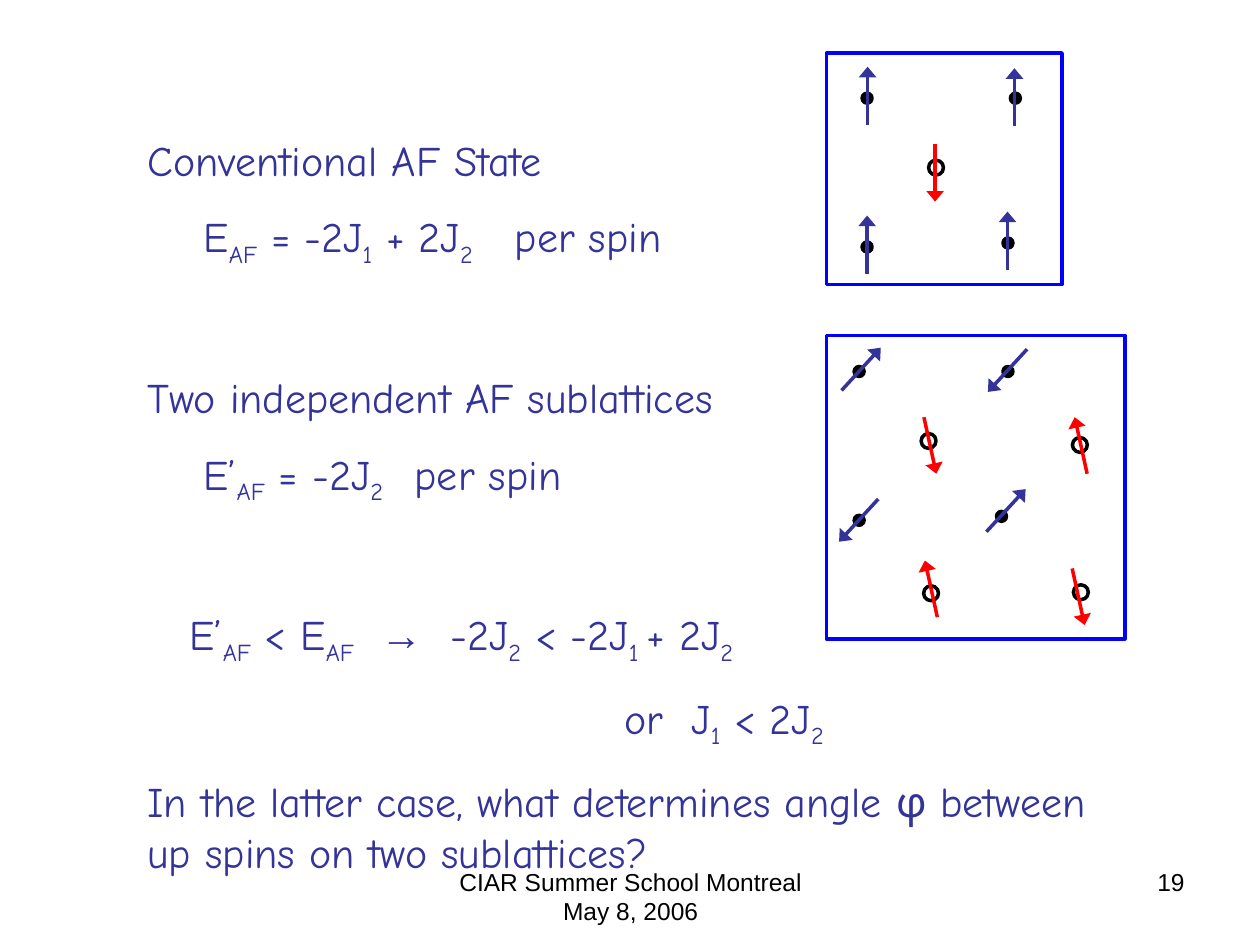
from lxml.etree import SubElement
from pptx import Presentation
from pptx.dml.color import RGBColor
from pptx.enum.shapes import MSO_CONNECTOR as Connector, MSO_SHAPE as Preset
from pptx.enum.text import MSO_ANCHOR as Anchor, MSO_AUTO_SIZE as AutoSize, PP_ALIGN as Align
from pptx.oxml.ns import qn
from pptx.util import Cm, Pt

INDIGO = RGBColor(0x33, 0x33, 0x99)
RED = RGBColor(0xFF, 0x00, 0x00)
BLUE = RGBColor(0x00, 0x00, 0xFF)
BLACK = RGBColor(0x00, 0x00, 0x00)

# Spin directions as (dx, dy) in cm
UP, DOWN = (0, -1.17), (0, 1.17)
NORTH_EAST, SOUTH_WEST = (0.79, -0.86), (-0.79, 0.86)
TILT_DOWN, TILT_UP = (0.25, 1.14), (-0.25, -1.14)

# Frame of each lattice: left, top, width, height
FRAMES = [(16.66, 1.07, 4.75, 4.67), (16.66, 6.76, 6.02, 6.12)]

# Site centre, arrow centre, direction
FILLED_SPINS = [
    ((17.48, 1.98), (17.49, 1.93), UP),
    ((17.48, 4.98), (17.48, 4.93), UP),
    ((20.47, 1.98), (20.45, 1.96), UP),
    ((20.32, 4.90), (20.31, 4.85), UP),
    ((17.32, 7.49), (17.36, 7.44), NORTH_EAST),
    ((17.32, 10.49), (17.31, 10.49), SOUTH_WEST),
    ((20.32, 7.49), (20.31, 7.47), SOUTH_WEST),
    ((20.19, 10.41), (20.28, 10.29), NORTH_EAST),
]
OPEN_SPINS = [
    ((18.87, 3.38), (18.85, 3.48), DOWN),
    ((21.79, 11.94), (21.74, 12.03), TILT_DOWN),
    ((18.77, 11.96), (18.77, 11.87), TILT_UP),
    ((21.77, 8.97), (21.79, 8.98), TILT_UP),
    ((18.72, 8.89), (18.75, 8.98), TILT_DOWN),
]

# Space before (pt), first-line indent (cm), runs.
# "_" marks a subscript; a number is one space widened by that many points.
STATEMENTS = [
    (0, 0, ["Conventional AF State"]),
    (15, 1.13, ["E", "_AF", " = -2J", "_1", " + 2J", "_2", 16, "per spin"]),
    (59, 0, ["Two independent AF sublattices"]),
    (15, 1.13, ["E’", "_AF", " = -2J", "_2", 10, "per spin"]),
    (59, 0.85, ["E’", "_AF", " < E", "_AF", 7, "→", 8, "-2J", "_2",
                " < -2J", "_1 ", "+ 2J", "_2"]),
    (15, 9.62, ["or", 8, "J", "_1", " < 2J", "_2"]),
    (15, 0, ["In the latter case, what determines angle φ between "
             "up spins on two sublattices?"]),
]


class SlideBuilder:
    text_font, plain_font = "Comic Neue", "Arial"
    text_size, footer_size, line_width = Pt(24), Pt(14), Pt(2)

    def __init__(self, slide):
        self.slide = slide

    def statements(self, left, top, width, height, items):
        body = self.slide.placeholders[1]
        body.left, body.top, body.width, body.height = map(Cm, (left, top, width, height))
        frame = body.text_frame
        frame.word_wrap, frame.auto_size = True, AutoSize.NONE
        frame.vertical_anchor = Anchor.TOP
        for number, (space, indent, pieces) in enumerate(items):
            paragraph = frame.add_paragraph() if number else frame.paragraphs[0]
            self.paragraph_layout(paragraph, space, indent)
            for piece in pieces:
                self.run(paragraph, piece)

    def paragraph_layout(self, paragraph, space, indent):
        properties = paragraph._p.get_or_add_pPr()
        properties.set("marL", "0")
        properties.set("indent", str(Cm(indent)))
        paragraph.space_before = Pt(space)
        SubElement(properties, qn("a:buNone"))

    def run(self, paragraph, piece):
        """Add a text, a subscript or a widened space."""
        is_gap = isinstance(piece, int)
        text = " " if is_gap else piece
        run = paragraph.add_run()
        run.text = text.removeprefix("_")
        run.font.name = self.plain_font if text == "→" else self.text_font
        run.font.size = self.text_size
        run.font.color.rgb = INDIGO
        if is_gap:
            run.font._element.set("spc", str(piece * 100))
        elif text.startswith("_"):
            run.font._element.set("baseline", "-25000")

    def footer(self, left, width, text, align):
        box = self.slide.shapes.add_textbox(Cm(left), Cm(17.35), Cm(width), Cm(1.32))
        box.text_frame.word_wrap = True
        paragraph = box.text_frame.paragraphs[0]
        paragraph.alignment = align
        run = paragraph.add_run()
        run.text = text
        run.font.name, run.font.size = self.plain_font, self.footer_size
        run.font.color.rgb = BLACK

    def outline(self, preset, left, top, width, height, color, filled=False):
        shape = self.slide.shapes.add_shape(preset, *map(Cm, (left, top, width, height)))
        shape.shadow.inherit = False
        shape.line.color.rgb, shape.line.width = color, self.line_width
        if filled:
            shape.fill.solid()
            shape.fill.fore_color.rgb = color
        else:
            shape.fill.background()

    def site(self, centre, diameter, filled):
        left, top = (value - diameter / 2 for value in centre)
        self.outline(Preset.OVAL, left, top, diameter, diameter, BLACK, filled)

    def arrow(self, centre, direction, color):
        (x, y), (dx, dy) = centre, direction
        ends = (x - dx / 2, y - dy / 2, x + dx / 2, y + dy / 2)
        arrow = self.slide.shapes.add_connector(Connector.STRAIGHT, *map(Cm, ends))
        arrow.line.color.rgb, arrow.line.width = color, self.line_width
        SubElement(arrow.line._get_or_add_ln(), qn("a:tailEnd"), type="triangle", w="lg")
        SubElement(arrow._element.spPr, qn("a:effectLst"))

    def spins(self, spins, diameter, filled, color):
        for site, centre, direction in spins:
            self.site(site, diameter, filled)
            self.arrow(centre, direction, color)


def main():
    deck = Presentation()
    deck.slide_width, deck.slide_height = Cm(25.4), Cm(19.05)
    slide = deck.slides.add_slide(deck.slide_layouts[1])
    title = slide.shapes.title._element
    title.getparent().remove(title)

    builder = SlideBuilder(slide)
    builder.statements(2.72, 2.58, 19.79, 15.22, STATEMENTS)
    builder.spins(FILLED_SPINS, 0.2, True, INDIGO)
    builder.spins(OPEN_SPINS, 0.3, False, RED)
    for frame in FRAMES:
        builder.outline(Preset.RECTANGLE, *frame, BLUE)
    builder.footer(8.69, 8.05, "CIAR Summer School Montreal May 8, 2006", Align.CENTER)
    builder.footer(18.21, 5.92, "19", Align.RIGHT)
    deck.save("out.pptx")


if __name__ == "__main__":
    main()
